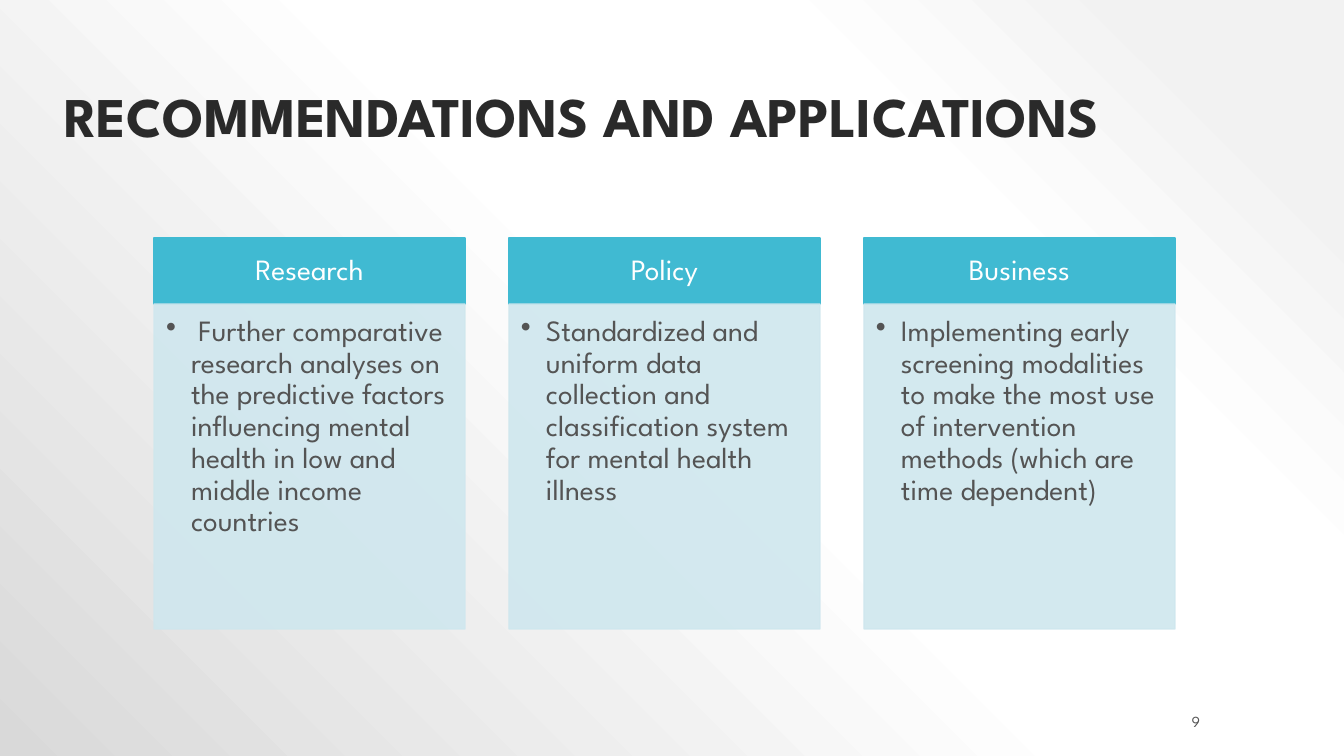
from dataclasses import dataclass

from lxml import etree
from pptx import Presentation
from pptx.dml.color import RGBColor
from pptx.enum.shapes import MSO_SHAPE
from pptx.enum.text import MSO_ANCHOR, MSO_AUTO_SIZE, PP_ALIGN
from pptx.oxml.ns import qn
from pptx.shapes.autoshape import Shape
from pptx.slide import Slide
from pptx.text.text import TextFrame
from pptx.util import Emu, Pt

RECTANGLE = MSO_SHAPE.RECTANGLE
TOP, MIDDLE, BOTTOM = MSO_ANCHOR.TOP, MSO_ANCHOR.MIDDLE, MSO_ANCHOR.BOTTOM
LEFT, CENTER, RIGHT = PP_ALIGN.LEFT, PP_ALIGN.CENTER, PP_ALIGN.RIGHT
NO_AUTOFIT = MSO_AUTO_SIZE.NONE
TITLE_ONLY_LAYOUT = 5
EMU_PER_PIXEL = 914400 / 100.8


@dataclass(frozen=True)
class Theme:
    """Colours, font and type sizes of the slide."""

    font: str = "League Spartan"
    title_color: str = "2A2A2A"
    text_color: str = "545454"
    header_text: str = "FFFFFF"
    header_fill: str = "40BAD2"
    body_fill: str = "CFE7EE"
    body_opacity: int = 90
    title_size: int = 40
    card_size: int = 21
    number_size: int = 11
    background: tuple[tuple[int, str], ...] = (
        (10, "F2F2F2"), (28, "FFFFFF"), (48, "FFFFFF"), (100, "D9D9D9"))


@dataclass(frozen=True)
class Box:
    """A rectangle in pixels."""

    left: int
    top: int
    width: int
    height: int


@dataclass(frozen=True)
class TextStyle:
    """Type size, colour and placement of a text."""

    size: int
    color: str
    align: PP_ALIGN
    anchor: MSO_ANCHOR
    insets: tuple[int, int, int, int] = (10, 5, 10, 5)
    bold: bool = False
    line_spacing: float = 0.9


@dataclass(frozen=True)
class Card:
    """A column with a heading and one recommendation."""

    heading: str
    recommendation: str


THEME = Theme()
TITLE_STYLE = TextStyle(THEME.title_size, THEME.title_color, LEFT, BOTTOM, bold=True)
NUMBER_STYLE = TextStyle(THEME.number_size, THEME.text_color, RIGHT, MIDDLE, line_spacing=1.0)
HEADER_STYLE = TextStyle(THEME.card_size, THEME.header_text, CENTER, MIDDLE, (16, 9, 16, 9))
BODY_STYLE = TextStyle(THEME.card_size, THEME.text_color, LEFT, TOP, (12, 12, 16, 18))

TITLE_BOX = Box(54, 9, 1155, 146)
NUMBER_BOX = Box(1084, 711, 126, 20)
CARD_LEFT, CARD_TOP, CARD_WIDTH, CARD_GAP = 154, 238, 311, 44
HEADER_HEIGHT, BODY_HEIGHT = 66, 325
BULLET_INDENT = 25

CARDS = (
    Card("Research", " Further comparative research analyses on the predictive factors "
         "influencing mental health in low and middle income countries"),
    Card("Policy", "Standardized and uniform data collection and classification system "
         "for mental health illness"),
    Card("Business", "Implementing early screening modalities to make the most use of "
         "intervention methods (which are time dependent)"),
)


def px(pixels: int) -> Emu:
    """Convert pixels to EMU."""
    return Emu(round(pixels * EMU_PER_PIXEL))


def place(box: Box) -> tuple[Emu, Emu, Emu, Emu]:
    """Return the box as left, top, width and height in EMU."""
    return px(box.left), px(box.top), px(box.width), px(box.height)


def write(text_frame: TextFrame, text: str, style: TextStyle) -> None:
    """Put one styled paragraph in a text frame."""
    text_frame.text = text
    text_frame.word_wrap = True
    text_frame.auto_size = NO_AUTOFIT
    text_frame.vertical_anchor = style.anchor
    (text_frame.margin_left, text_frame.margin_top,
     text_frame.margin_right, text_frame.margin_bottom) = map(px, style.insets)
    paragraph = text_frame.paragraphs[0]
    paragraph.alignment = style.align
    paragraph.line_spacing = style.line_spacing
    font = paragraph.runs[0].font
    font.name, font.size, font.bold = THEME.font, Pt(style.size), style.bold
    font.color.rgb = RGBColor.from_string(style.color)


def add_bullet(text_frame: TextFrame) -> None:
    """Give the first paragraph a hanging bullet."""
    properties = text_frame.paragraphs[0]._p.get_or_add_pPr()
    properties.set("marL", str(px(BULLET_INDENT)))
    properties.set("indent", str(-px(BULLET_INDENT)))
    etree.SubElement(properties, qn("a:buChar"), char="•")


def set_opacity(shape: Shape, percent: int) -> None:
    """Make the fill and line of a shape partly transparent."""
    for color in shape._element.spPr.iter(qn("a:srgbClr")):
        etree.SubElement(color, qn("a:alpha"), val=str(percent * 1000))


def add_panel(slide: Slide, box: Box, color: str, text: str, style: TextStyle) -> Shape:
    """Draw a filled rectangle with text."""
    shape = slide.shapes.add_shape(RECTANGLE, *place(box))
    shape.shadow.inherit = False
    shape.fill.solid()
    shape.fill.fore_color.rgb = RGBColor.from_string(color)
    shape.line.color.rgb = RGBColor.from_string(color)
    shape.line.width = Pt(1)
    write(shape.text_frame, text, style)
    return shape


def add_card(slide: Slide, card: Card, left: int) -> None:
    """Draw a heading panel above a bulleted panel."""
    header = Box(left, CARD_TOP, CARD_WIDTH, HEADER_HEIGHT)
    body = Box(left, CARD_TOP + HEADER_HEIGHT, CARD_WIDTH, BODY_HEIGHT)
    add_panel(slide, header, THEME.header_fill, card.heading, HEADER_STYLE)
    panel = add_panel(slide, body, THEME.body_fill, card.recommendation, BODY_STYLE)
    set_opacity(panel, THEME.body_opacity)
    add_bullet(panel.text_frame)


def set_background(slide: Slide) -> None:
    """Fill the background with a gradient spreading from the top right corner."""
    slide.background.fill.gradient()
    gradient = slide.element.find(".//" + qn("a:gradFill"))
    for child in list(gradient):
        gradient.remove(child)
    stops = etree.SubElement(gradient, qn("a:gsLst"))
    for position, color in THEME.background:
        stop = etree.SubElement(stops, qn("a:gs"), pos=str(position * 1000))
        etree.SubElement(stop, qn("a:srgbClr"), val=color)
    circle = etree.SubElement(gradient, qn("a:path"), attrib={"path": "circle"})
    etree.SubElement(circle, qn("a:fillToRect"), l="100000", b="100000")


def main() -> None:
    """Build and save the slide."""
    presentation = Presentation()
    presentation.slide_width, presentation.slide_height = px(1344), px(756)
    slide = presentation.slides.add_slide(presentation.slide_layouts[TITLE_ONLY_LAYOUT])
    set_background(slide)

    title = slide.shapes.title
    title.left, title.top, title.width, title.height = place(TITLE_BOX)
    write(title.text_frame, "RECOMMENDATIONS AND APPLICATIONS", TITLE_STYLE)

    for index, card in enumerate(CARDS):
        add_card(slide, card, CARD_LEFT + index * (CARD_WIDTH + CARD_GAP))

    number = slide.shapes.add_textbox(*place(NUMBER_BOX))
    write(number.text_frame, "9", NUMBER_STYLE)
    presentation.save("out.pptx")


main()
